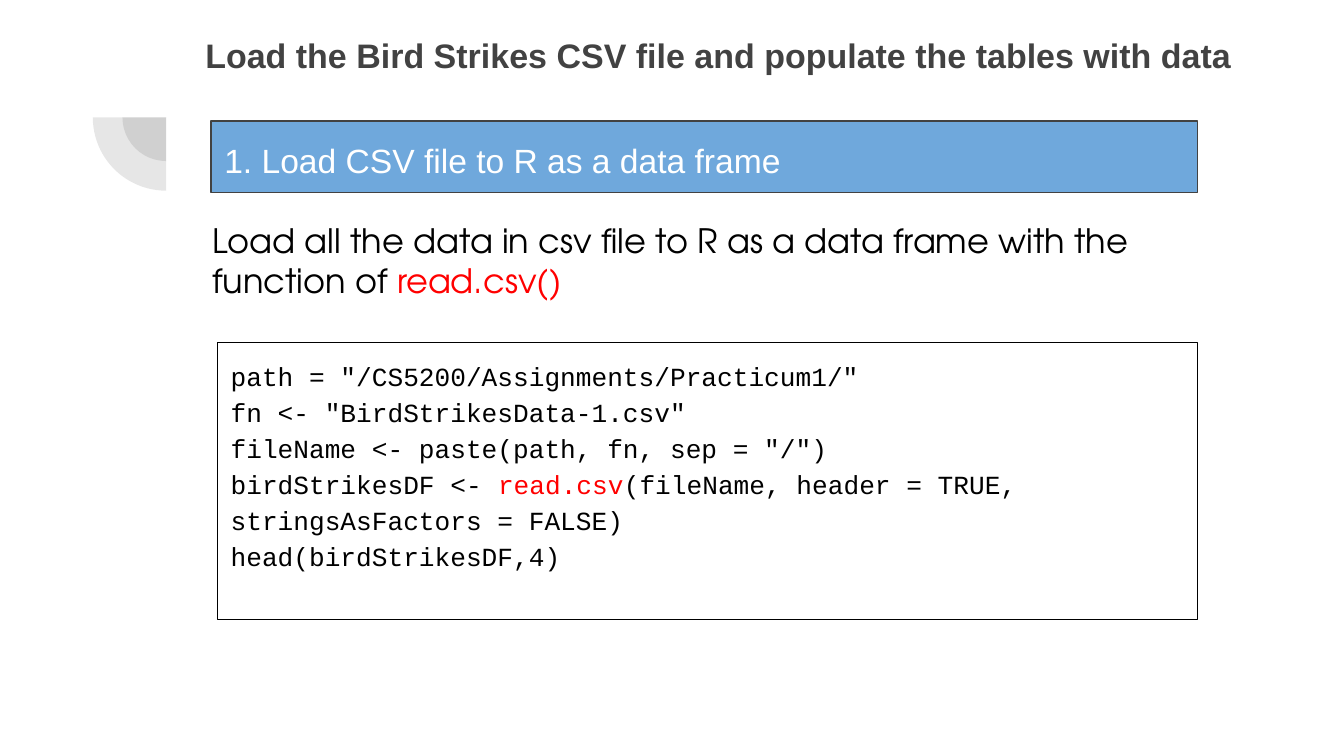
from lxml import etree
from pptx import Presentation
from pptx.dml.color import RGBColor
from pptx.enum.shapes import MSO_SHAPE
from pptx.enum.text import MSO_ANCHOR, PP_ALIGN
from pptx.oxml.ns import qn
from pptx.util import Cm, Pt

RECTANGLE = MSO_SHAPE.RECTANGLE
PIE = MSO_SHAPE.PIE
TOP, MIDDLE = MSO_ANCHOR.TOP, MSO_ANCHOR.MIDDLE
LEFT = PP_ALIGN.LEFT

COLORS = {
    "gray": "424242",
    "blue": "6FA8DC",
    "white": "FFFFFF",
    "black": "000000",
    "red": "FF0000",
}

INSET = Cm(0.25)

CODE_LINES = [
    [('path = "/CS5200/Assignments/Practicum1/"', "black")],
    [('fn <- "BirdStrikesData-1.csv"', "black")],
    [('fileName <- paste(path, fn, sep = "/")', "black")],
    [
        ("birdStrikesDF <- ", "black"),
        ("read.csv", "red"),
        ("(fileName, header = TRUE, stringsAsFactors = FALSE)", "black"),
    ],
    [("head(birdStrikesDF,4)", "black")],
]


def rgb(name):
    return RGBColor.from_string(COLORS[name])


def write_text(shape, lines, font, size, bold=False, spacing=1.15, anchor=TOP):
    """Write lines, each a list of (text, color name) runs."""
    text_frame = shape.text_frame
    text_frame.word_wrap = True
    text_frame.vertical_anchor = anchor
    text_frame.margin_left = text_frame.margin_right = INSET
    text_frame.margin_top = text_frame.margin_bottom = INSET
    for index, line in enumerate(lines):
        paragraph = text_frame.paragraphs[0] if index == 0 else text_frame.add_paragraph()
        paragraph.alignment = LEFT
        paragraph.line_spacing = spacing
        for text, color in line:
            run = paragraph.add_run()
            run.text = text
            run.font.name = font
            run.font.size = Pt(size)
            run.font.bold = bold
            run.font.color.rgb = rgb(color)


def add_text(slide, left, top, width, height, lines, font, size, **options):
    box = slide.shapes.add_textbox(Cm(left), Cm(top), Cm(width), Cm(height))
    write_text(box, lines, font, size, **options)


def add_panel(slide, left, top, width, height, line_color, fill=None):
    panel = slide.shapes.add_shape(RECTANGLE, Cm(left), Cm(top), Cm(width), Cm(height))
    panel.shadow.inherit = False
    if fill:
        panel.fill.solid()
        panel.fill.fore_color.rgb = rgb(fill)
    else:
        panel.fill.background()
    panel.line.color.rgb = rgb(line_color)
    panel.line.width = Pt(0.75)
    return panel


def add_quarter(slide, center_x, center_y, diameter, opacity):
    """Draw the lower left quarter of a translucent disc."""
    radius = diameter / 2
    quarter = slide.shapes.add_shape(
        PIE, Cm(center_x - radius), Cm(center_y - radius), Cm(diameter), Cm(diameter)
    )
    # A pie angle is stored as degrees times 0.6
    quarter.adjustments[0] = 90 * 0.6
    quarter.adjustments[1] = 180 * 0.6
    quarter.shadow.inherit = False
    quarter.line.fill.background()
    quarter.fill.solid()
    quarter.fill.fore_color.rgb = rgb("gray")
    color = quarter.fill._xPr.find(qn("a:solidFill"))[0]
    etree.SubElement(color, qn("a:alpha")).set("val", str(opacity * 1000))


def main():
    presentation = Presentation()
    presentation.slide_width = Cm(25.4)
    presentation.slide_height = Cm(14.29)
    slide = presentation.slides.add_slide(presentation.slide_layouts[6])

    # Corner ornament
    for diameter in (1.65, 2.77):
        add_quarter(slide, 3.14, 2.22, diameter, opacity=13)

    # Title
    title = "Load the Bird Strikes CSV file and populate the tables with data"
    add_text(slide, 3.63, 0.28, 20.12, 1.35, [[(title, "gray")]], "Arial", 18.2, bold=True)

    # Step heading
    heading = add_panel(slide, 3.99, 2.29, 18.64, 1.35, "gray", fill="blue")
    step = "1. Load CSV file to R as a data frame"
    write_text(heading, [[(step, "white")]], "Arial", 18, anchor=MIDDLE)

    # Explanation
    explanation = [
        ("Load all the data in csv file to R as a data frame with the function of ", "black"),
        ("read.csv()", "red"),
    ]
    add_text(slide, 3.76, 3.91, 18.26, 2.11, [explanation], "TeX Gyre Adventor", 18, spacing=1.0)

    # Code listing
    listing = add_panel(slide, 4.11, 6.48, 18.52, 5.23, "black")
    write_text(listing, CODE_LINES, "Courier New", 14)

    presentation.save("out.pptx")


if __name__ == "__main__":
    main()
